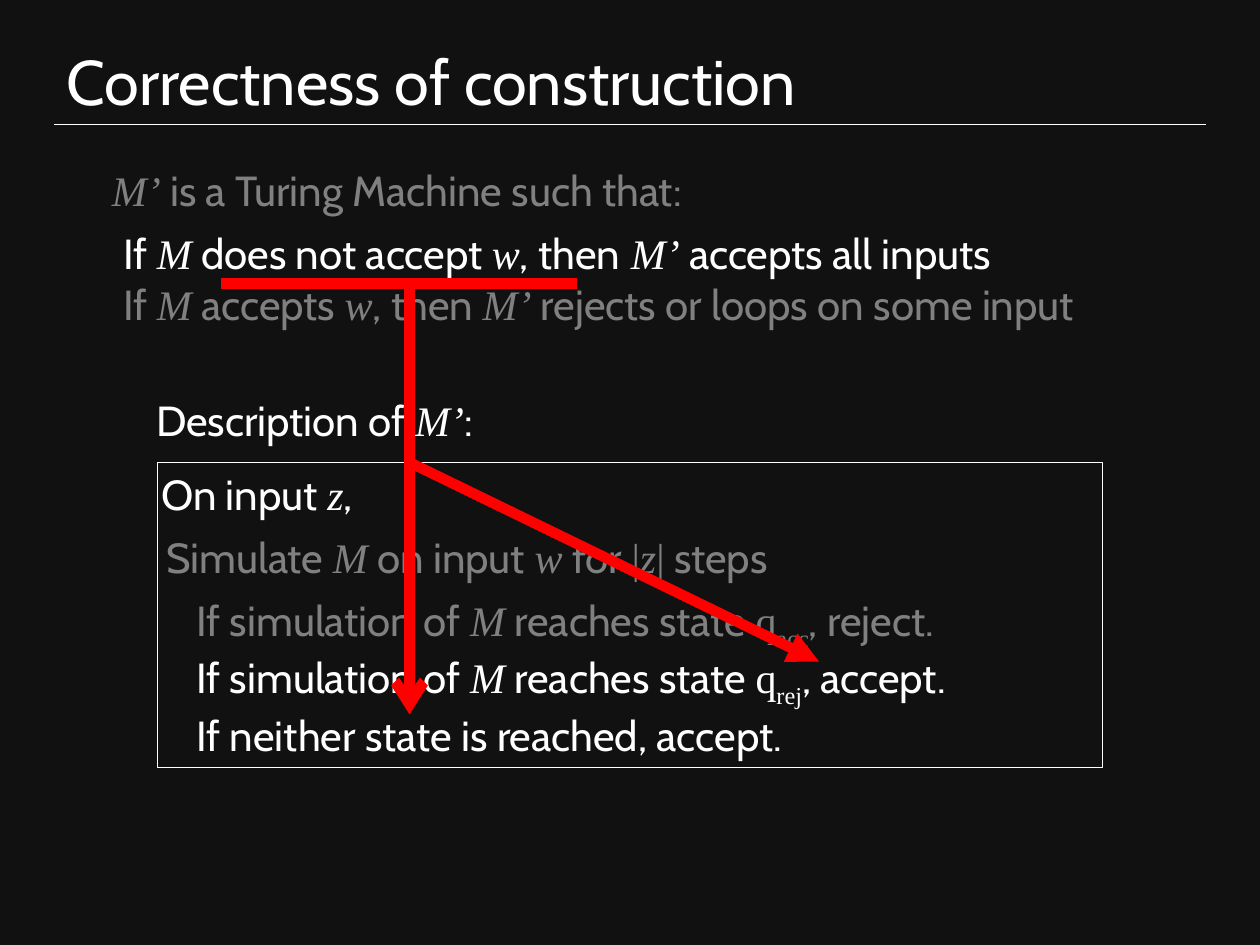
"""Build the slide on the correctness of a Turing machine construction."""
from lxml.etree import SubElement
from pptx import Presentation
from pptx.dml.color import RGBColor
from pptx.enum.shapes import MSO_CONNECTOR, MSO_SHAPE
from pptx.enum.text import MSO_ANCHOR, MSO_AUTO_SIZE, PP_ALIGN
from pptx.oxml.ns import qn
from pptx.util import Emu, Pt

PX = 9144
WHITE, GRAY, RED, BLACK = "FFFFFF", "808080", "FF0000", "111111"
SANS, SERIF = "Cabin", "Times New Roman"
STYLES = {"text": (SANS, False), "math": (SERIF, True), "symbol": (SERIF, False), "sub": (SERIF, False)}


def add_span(para, text, style, color, size=24):
    span = para.add_run()
    span.text = text
    span.font.name, span.font.italic = STYLES[style]
    span.font.size = Pt(size)
    span.font.color.rgb = RGBColor.from_string(color)
    if style == "sub":
        span.font._element.set("baseline", "-25000")


def add_line(start_x, start_y, end_x, end_y, color, width, head=None):
    ends = [Emu(value * PX) for value in (start_x, start_y, end_x, end_y)]
    line = page.shapes.add_connector(MSO_CONNECTOR.STRAIGHT, *ends)
    line.line.color.rgb = RGBColor.from_string(color)
    line.line.width = Pt(width)
    if head:
        SubElement(line.line._get_or_add_ln(), qn("a:tailEnd"), type=head)
    SubElement(line._element.spPr, qn("a:effectLst"))


deck = Presentation()
deck.slide_width, deck.slide_height = Emu(1000 * PX), Emu(750 * PX)
page = deck.slides.add_slide(deck.slide_layouts[5])
page.background.fill.solid()
page.background.fill.fore_color.rgb = RGBColor.from_string(BLACK)

title = page.shapes.title
title.left, title.top, title.width, title.height = [Emu(value * PX) for value in (43, 28, 914, 72)]
title.text_frame.auto_size = MSO_AUTO_SIZE.NONE
title.text_frame.vertical_anchor = MSO_ANCHOR.MIDDLE
title.text_frame.paragraphs[0].alignment = PP_ALIGN.LEFT
add_span(title.text_frame.paragraphs[0], "Correctness of construction", "text", WHITE, 36)
add_line(43, 99, 957, 99, WHITE, 0.75)

frame = page.shapes.add_shape(MSO_SHAPE.RECTANGLE, *[Emu(value * PX) for value in (125, 367, 750, 242)])
frame.shadow.inherit = False
frame.fill.background()
frame.line.color.rgb = RGBColor.from_string(WHITE)
frame.line.width = Pt(0.75)

reaches = [("If simulation of ", "text"), ("M", "math"), (" reaches state ", "text"), ("q", "symbol")]
blocks = [
    ((79, 126, 536, 50), [
        (GRAY, [("M’", "math"), (" is a Turing Machine such that:", "text")]),
    ]),
    ((88, 176, 867, 90), [
        (WHITE, [("If ", "text"), ("M", "math"), (" does not accept ", "text"), ("w", "math"),
                 (", then", "text"), (" M’", "math"), (" accepts all inputs", "text")]),
        (GRAY, [("If ", "text"), ("M", "math"), (" accepts ", "text"), ("w", "math"),
                (", then ", "text"), ("M’", "math"), (" rejects or loops on some input", "text")]),
    ]),
    ((114, 308, 305, 50), [
        (WHITE, [("Description of ", "text"), ("M’", "math"), (":", "text")]),
    ]),
    ((118, 367, 201, 50), [
        (WHITE, [("On input ", "text"), ("z", "math"), (",", "text")]),
    ]),
    ((122, 417, 582, 50), [
        (GRAY, [("Simulate ", "text"), ("M", "math"), (" on input ", "text"), ("w", "math"), (" for ", "text"),
                ("|", "symbol"), ("z", "math"), ("|", "symbol"), (" steps", "text")]),
    ]),
    ((146, 467, 697, 141), [
        (GRAY, reaches + [("acc", "sub"), (", reject.", "text")]),
        (WHITE, reaches + [("rej", "sub"), (", accept.", "text")]),
        (WHITE, [("If neither state is reached, accept.", "text")]),
    ]),
]
for place, lines in blocks:
    box = page.shapes.add_textbox(*[Emu(value * PX) for value in place])
    box.text_frame.word_wrap = False
    box.text_frame.auto_size = MSO_AUTO_SIZE.SHAPE_TO_FIT_TEXT
    for index, (color, spans) in enumerate(lines):
        para = box.text_frame.add_paragraph() if index else box.text_frame.paragraphs[0]
        for text, style in spans:
            add_span(para, text, style, color)

add_line(325, 367, 650, 525, RED, 6, "triangle")
add_line(325, 225, 325, 567, RED, 6, "arrow")
add_line(175, 225, 458, 225, RED, 6)

deck.save("out.pptx")
